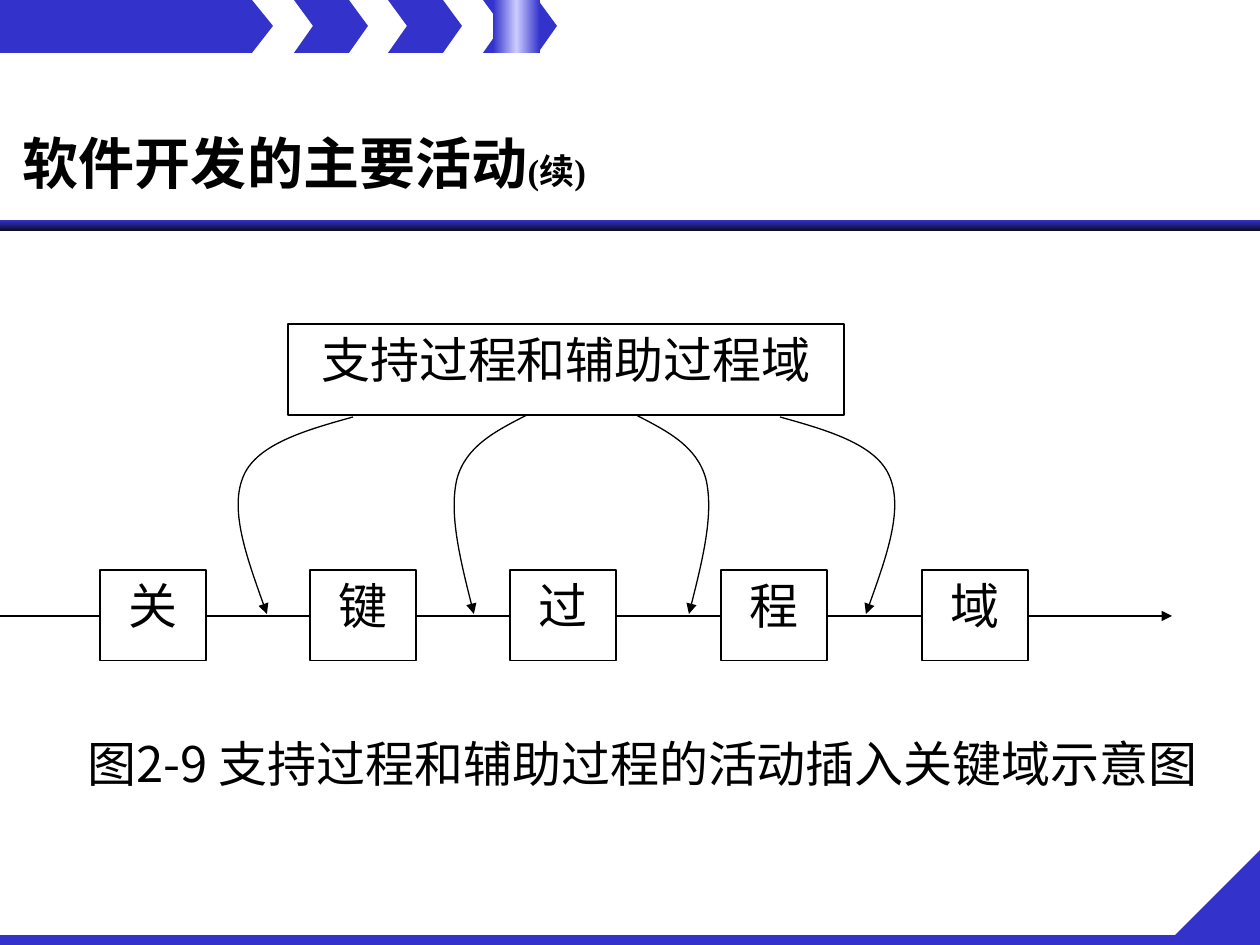
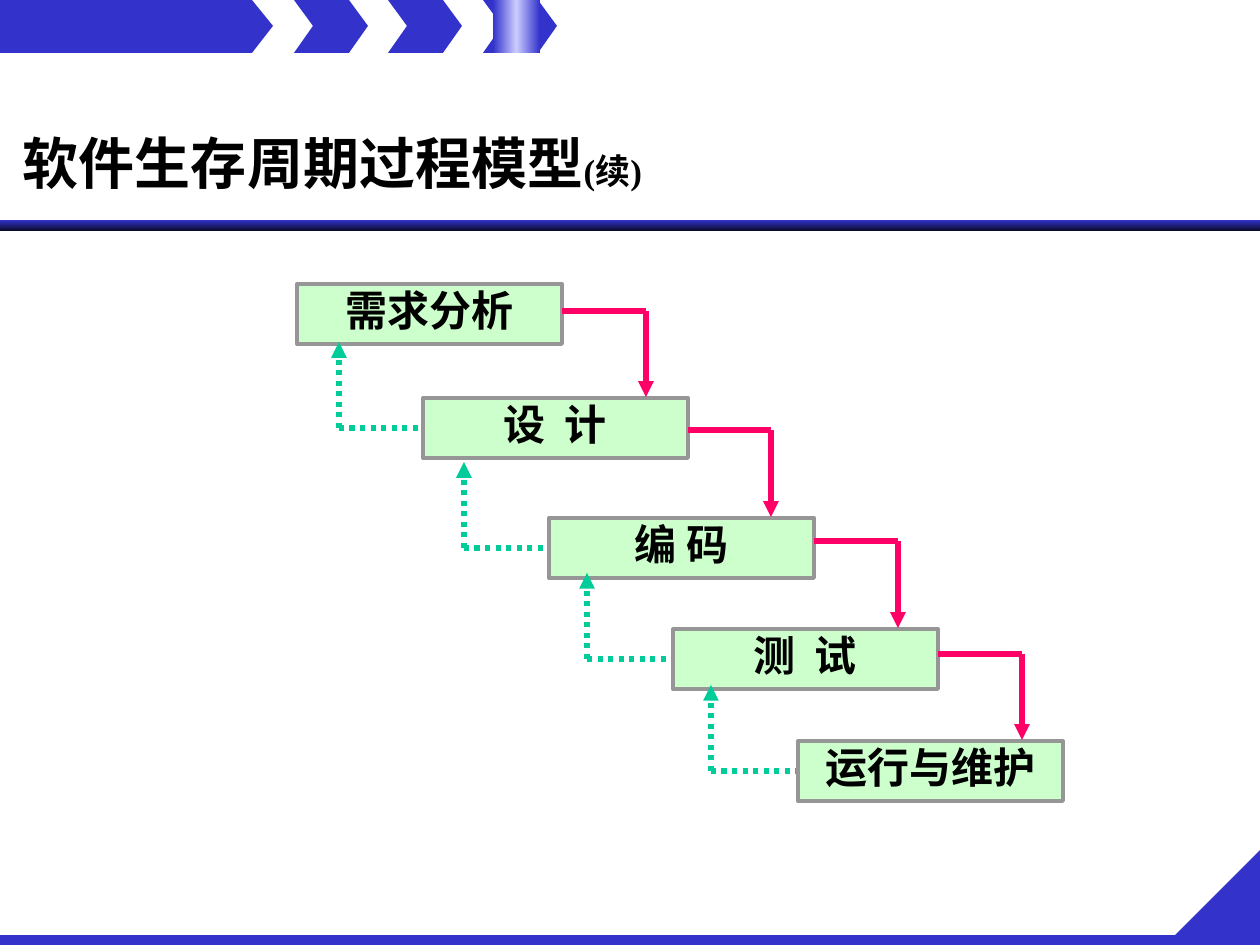
from copy import deepcopy

from lxml import etree
from pptx import Presentation
from pptx import util as u
from pptx.dml.color import RGBColor
from pptx.enum import dml, shapes, text
from pptx.oxml.ns import qn

BLUE = RGBColor(0x33, 0x33, 0xCC)
NAVY = RGBColor(0x0A, 0x0A, 0x29)
LILAC = RGBColor(0xCC, 0xCC, 0xFF)
BLACK = RGBColor(0, 0, 0)
WHITE = RGBColor(0xFF, 0xFF, 0xFF)
MINT = RGBColor(0xCC, 0xFF, 0xCC)
GRAY = RGBColor(0x96, 0x96, 0x96)
TEAL = RGBColor(0, 0xCC, 0x99)
PINK = RGBColor(0xFF, 0, 0x66)

SERIF = "Times New Roman"
SANS = "Noto Sans CJK SC"
WIDTH, HEIGHT = 1260, 945
SCALE = u.Inches(10) / WIDTH

BAND_HEIGHT = 53
BAND_TIP = [(189, 0), (252, 0), (273, 26), (252, 53), (189, 53)]
CHEVRON = [(0, 0), (55, 0), (74, 26), (55, 53), (0, 53), (19, 26)]
CHEVRON_LEFTS = [294, 388, 483]

ACTIVITIES_TITLE = "软件开发的主要活动"
MODEL_TITLE = "软件生存周期过程模型"
CONTINUED = "(续)"

SUPPORT_DOMAIN = "支持过程和辅助过程域"
KEY_DOMAINS = [("关", 100), ("键", 310), ("过", 510), ("程", 721), ("域", 922)]
KEY_TOP, KEY_WIDTH, KEY_HEIGHT = 570, 106, 91
AXIS_Y = 616
CAPTION = "图2-9 支持过程和辅助过程的活动插入关键域示意图"
INSERTIONS = [
    (1133, [(353, 417), (306, 430), (258, 444), (244, 475),
            (229, 508), (248, 561), (267, 614)]),
    (1163, [(527, 415), (496, 431), (466, 446), (457, 479),
            (449, 513), (461, 563), (474, 614)]),
]

PHASES = [("需求分析", 297, 284), ("设  计", 423, 398), ("编 码", 549, 518),
          ("测  试", 673, 629), ("运行与维护", 798, 741)]
PHASE_WIDTH, PHASE_HEIGHT = 265, 60
FORWARD_CORNERS = [(646, 311), (771, 430), (898, 541), (1022, 654)]
FEEDBACK_XS = [339, 464, 587, 711]
FEEDBACK_RISE = 86


def px(*lengths):
    return [u.Emu(round(length * SCALE)) for length in lengths]


def paint(shape, fill=None, line=None, width=0.75):
    shape.shadow.inherit = False
    if fill is None:
        shape.fill.background()
    else:
        shape.fill.solid()
        shape.fill.fore_color.rgb = fill
    if line is None:
        shape.line.fill.background()
    else:
        shape.line.color.rgb = line
        shape.line.width = u.Pt(width)


def add_block(slide, box, fill=None, line=None, width=0.75,
              kind=shapes.MSO_SHAPE.RECTANGLE):
    shape = slide.shapes.add_shape(kind, *px(*box))
    paint(shape, fill, line, width)
    return shape


def add_gradient(slide, box, colors, angle):
    shape = add_block(slide, box)
    shape.fill.gradient()
    shape.fill.gradient_angle = angle
    stops = shape._element.spPr.find(qn("a:gradFill")).find(qn("a:gsLst"))
    for _ in colors[2:]:
        stops.insert(1, deepcopy(stops[0]))
    for index, (stop, color) in enumerate(zip(shape.fill.gradient_stops, colors)):
        stop.color.rgb = color
        stop.position = index / (len(colors) - 1)


def add_outline(slide, points, close=True):
    builder = slide.shapes.build_freeform(*points[0], scale=SCALE)
    builder.add_line_segments(points[1:], close=close)
    return builder.convert_to_shape()


def add_arrowhead(shape):
    line = shape._element.spPr.find(qn("a:ln"))
    etree.SubElement(line, qn("a:tailEnd"), type="triangle")


def add_line(slide, start, end, color, width, arrow=False, dash=None):
    connector = slide.shapes.add_connector(
        shapes.MSO_CONNECTOR.STRAIGHT, *px(*start, *end))
    connector.line.color.rgb = color
    connector.line.width = u.Pt(width)
    if dash is not None:
        connector.line.dash_style = dash
    if arrow:
        add_arrowhead(connector)
    etree.SubElement(connector._element.spPr, qn("a:effectLst"))


def add_curved_arrow(slide, points):
    curve = add_outline(slide, points, close=False)
    paint(curve, line=BLACK)
    segments = list(curve._element.iter(qn("a:lnTo")))
    outline = segments[0].getparent()
    for first in range(0, len(segments), 3):
        bezier = etree.SubElement(outline, qn("a:cubicBezTo"))
        for segment in segments[first:first + 3]:
            bezier.append(segment[0])
            outline.remove(segment)
    add_arrowhead(curve)


def format_run(run, size, name, bold=False):
    run.font.size = u.Pt(size)
    run.font.name = name
    run.font.bold = bold
    run.font.color.rgb = BLACK
    etree.SubElement(run._r.get_or_add_rPr(), qn("a:ea"), typeface=SANS)


def write(shape, wording, size, name, bold=False, inset=(13, 6)):
    frame = shape.text_frame
    frame.word_wrap = True
    frame.vertical_anchor = text.MSO_ANCHOR.TOP
    frame.margin_left, frame.margin_top = px(*inset)
    frame.margin_right, frame.margin_bottom = px(*inset)
    frame.text = wording
    paragraph = frame.paragraphs[0]
    paragraph.alignment = text.PP_ALIGN.CENTER
    format_run(paragraph.runs[0], size, name, bold)


def add_titled_slide(presentation, title):
    slide = presentation.slides.add_slide(presentation.slide_layouts[6])
    add_gradient(slide, (0, 220, WIDTH, 11), [BLUE, NAVY], 270)
    add_block(slide, (0, 0, 189, BAND_HEIGHT), BLUE)
    chevrons = [[(left + x, y) for x, y in CHEVRON] for left in CHEVRON_LEFTS]
    for points in [BAND_TIP, *chevrons]:
        paint(add_outline(slide, points), BLUE)
    add_gradient(slide, (493, 0, 47, BAND_HEIGHT), [BLUE, LILAC, BLUE], 180)
    corner = add_block(slide, (1165, 850, 95, 95), BLUE,
                       kind=shapes.MSO_SHAPE.RIGHT_TRIANGLE)
    corner.rotation = 270
    add_block(slide, (0, 935, WIDTH, 10), BLUE,
              kind=shapes.MSO_SHAPE.FLOWCHART_PROCESS)

    heading = slide.shapes.add_textbox(*px(10, 106, 679, 113))
    write(heading, title, 32, SERIF, True)
    heading.text_frame.vertical_anchor = text.MSO_ANCHOR.MIDDLE
    paragraph = heading.text_frame.paragraphs[0]
    paragraph.alignment = text.PP_ALIGN.LEFT
    suffix = paragraph.add_run()
    suffix.text = CONTINUED
    format_run(suffix, 20, SERIF, True)
    return slide


def build_activities(presentation):
    slide = add_titled_slide(presentation, ACTIVITIES_TITLE)
    support = add_block(slide, (288, 324, 556, 91), line=BLACK)
    write(support, SUPPORT_DOMAIN, 28, SANS)
    add_line(slide, (0, AXIS_Y), (1172, AXIS_Y), BLACK, 0.75, arrow=True)
    for name, left in KEY_DOMAINS:
        domain = add_block(slide, (left, KEY_TOP, KEY_WIDTH, KEY_HEIGHT), WHITE, BLACK)
        write(domain, name, 28, SANS)
    for mirror, points in INSERTIONS:
        add_curved_arrow(slide, points)
        add_curved_arrow(slide, [(mirror - x, y) for x, y in points])
    caption = slide.shapes.add_textbox(*px(64, 728, 1157, 91))
    write(caption, CAPTION, 28, SANS)


def build_model(presentation):
    slide = add_titled_slide(presentation, MODEL_TITLE)
    for name, left, top in PHASES:
        phase = add_block(slide, (left, top, PHASE_WIDTH, PHASE_HEIGHT), MINT, GRAY, 2.25)
        write(phase, name, 24, SERIF, True, inset=(2, 1))
    dots = dml.MSO_LINE.ROUND_DOT
    links = zip(PHASES, PHASES[1:], FORWARD_CORNERS, FEEDBACK_XS)
    for (_, left, _), (_, next_left, next_top), corner, feedback_x in links:
        turn = (feedback_x, next_top + PHASE_HEIGHT // 2)
        add_line(slide, turn, (feedback_x, turn[1] - FEEDBACK_RISE), TEAL, 3, True, dots)
        add_line(slide, turn, (next_left - 2, turn[1]), TEAL, 3, dash=dots)
        add_line(slide, corner, (corner[0], next_top - 1), PINK, 3, True)
        add_line(slide, (left + PHASE_WIDTH, corner[1]), corner, PINK, 3)


def main():
    presentation = Presentation()
    presentation.slide_width, presentation.slide_height = px(WIDTH, HEIGHT)
    build_activities(presentation)
    build_model(presentation)
    presentation.save("out.pptx")


if __name__ == "__main__":
    main()
